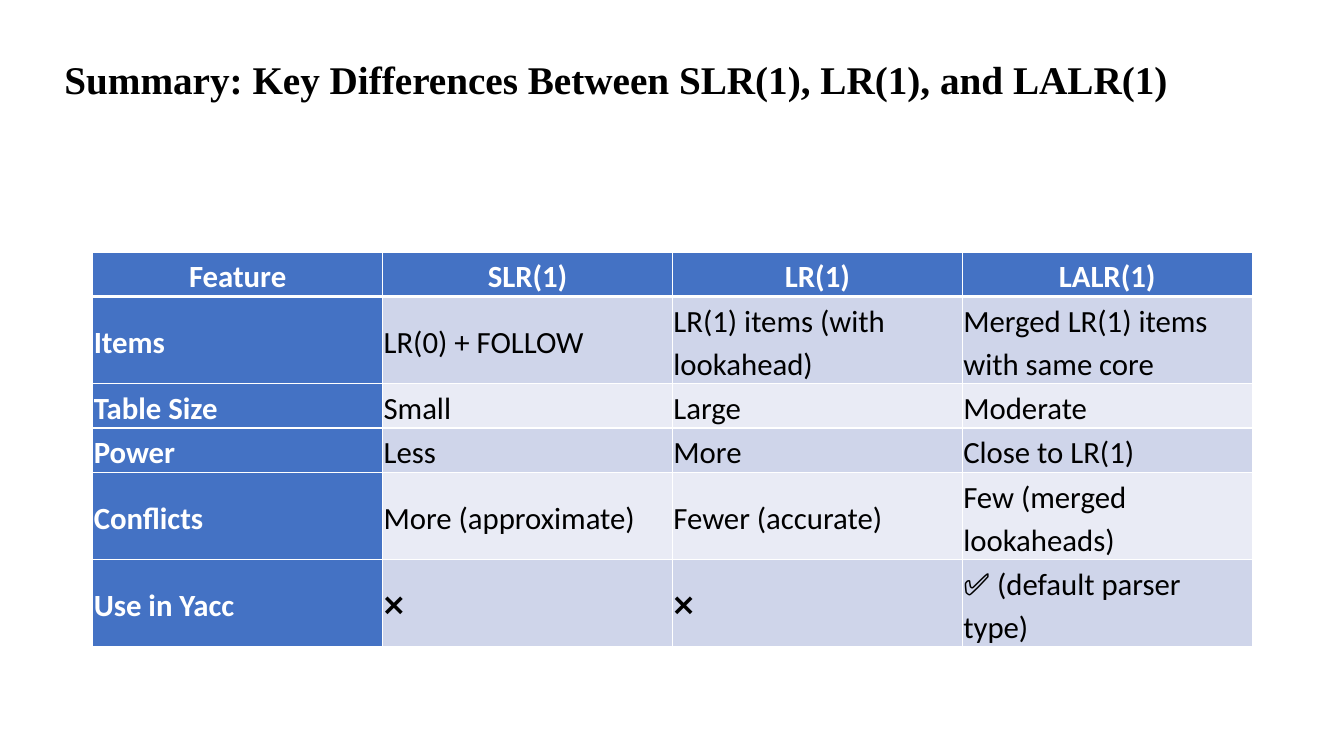
from lxml.etree import SubElement
from pptx import Presentation
from pptx.dml.color import RGBColor
from pptx.enum.text import MSO_ANCHOR, MSO_AUTO_SIZE, PP_ALIGN
from pptx.oxml.ns import qn
from pptx.util import Inches, Pt

COLORS = {
    "black": "000000",
    "white": "FFFFFF",
    "header": "4472C4",
    "band_dark": "CFD5EA",
    "band_light": "E9EBF5",
}

COMPARISON = [
    ["Feature", "SLR(1)", "LR(1)", "LALR(1)"],
    ["Items", "LR(0) + FOLLOW", "LR(1) items (with lookahead)", "Merged LR(1) items with same core"],
    ["Table Size", "Small", "Large", "Moderate"],
    ["Power", "Less", "More", "Close to LR(1)"],
    ["Conflicts", "More (approximate)", "Fewer (accurate)", "Few (merged lookaheads)"],
    ["Use in Yacc", "❌", "❌", "✅ (default parser type)"],
]
ROW_HEIGHTS = [0.44, 0.86, 0.44, 0.44, 0.86, 0.86]


class SlideBuilder:
    title_font = "Times New Roman"
    table_font = "Calibri"
    cell_inset = Inches(0.01)

    def __init__(self, slide):
        self.slide = slide

    def style(self, frame, font, size, color, bold, align=PP_ALIGN.LEFT):
        frame.word_wrap = True
        for paragraph in frame.paragraphs:
            paragraph.alignment = align
            paragraph.line_spacing = 1.15
            paragraph.space_after = Pt(8)
            for run in paragraph.runs:
                run.font.name = font
                run.font.size = Pt(size)
                run.font.bold = bold
                run.font.color.rgb = RGBColor.from_string(COLORS[color])

    def title(self, wording, left, top, width, height):
        heading = self.slide.shapes.add_textbox(
            Inches(left), Inches(top), Inches(width), Inches(height)
        ).text_frame
        heading.text = wording
        heading.auto_size = MSO_AUTO_SIZE.SHAPE_TO_FIT_TEXT
        self.style(heading, self.title_font, 28, "black", True)

    def border(self, cell, side, points):
        line = SubElement(cell._tc.get_or_add_tcPr(), qn(f"a:ln{side}"), w=str(Pt(points)))
        fill = SubElement(line, qn("a:solidFill"))
        SubElement(fill, qn("a:srgbClr"), val=COLORS["white"])

    def cell(self, cell, wording, row, column):
        is_header = row == 0
        is_label = is_header or column == 0
        cell.text = wording
        cell.vertical_anchor = MSO_ANCHOR.MIDDLE
        cell.margin_left = cell.margin_right = self.cell_inset
        cell.margin_top = cell.margin_bottom = self.cell_inset
        for side in "LRTB":
            below_header = (row, side) in ((0, "B"), (1, "T"))
            self.border(cell, side, 3 if below_header else 1)
        band = "band_dark" if row % 2 else "band_light"
        cell.fill.solid()
        cell.fill.fore_color.rgb = RGBColor.from_string(COLORS["header" if is_label else band])
        self.style(
            cell.text_frame,
            self.table_font,
            22,
            "white" if is_label else "black",
            is_label,
            PP_ALIGN.CENTER if is_header else PP_ALIGN.LEFT,
        )

    def table(self, rows, heights, left, top, width):
        grid = self.slide.shapes.add_table(
            len(rows), len(rows[0]), Inches(left), Inches(top), Inches(width), Inches(sum(heights))
        ).table
        for row, (wordings, height) in enumerate(zip(rows, heights)):
            grid.rows[row].height = Inches(height)
            for column, wording in enumerate(wordings):
                self.cell(grid.cell(row, column), wording, row, column)


def main():
    deck = Presentation()
    deck.slide_width, deck.slide_height = Inches(13.33), Inches(7.5)
    summary = SlideBuilder(deck.slides.add_slide(deck.slide_layouts[6]))
    summary.title("Summary: Key Differences Between SLR(1), LR(1), and LALR(1)", 0.54, 0.43, 12.25, 0.61)
    summary.table(COMPARISON, ROW_HEIGHTS, 0.92, 2.5, 11.5)
    deck.save("out.pptx")


if __name__ == "__main__":
    main()
